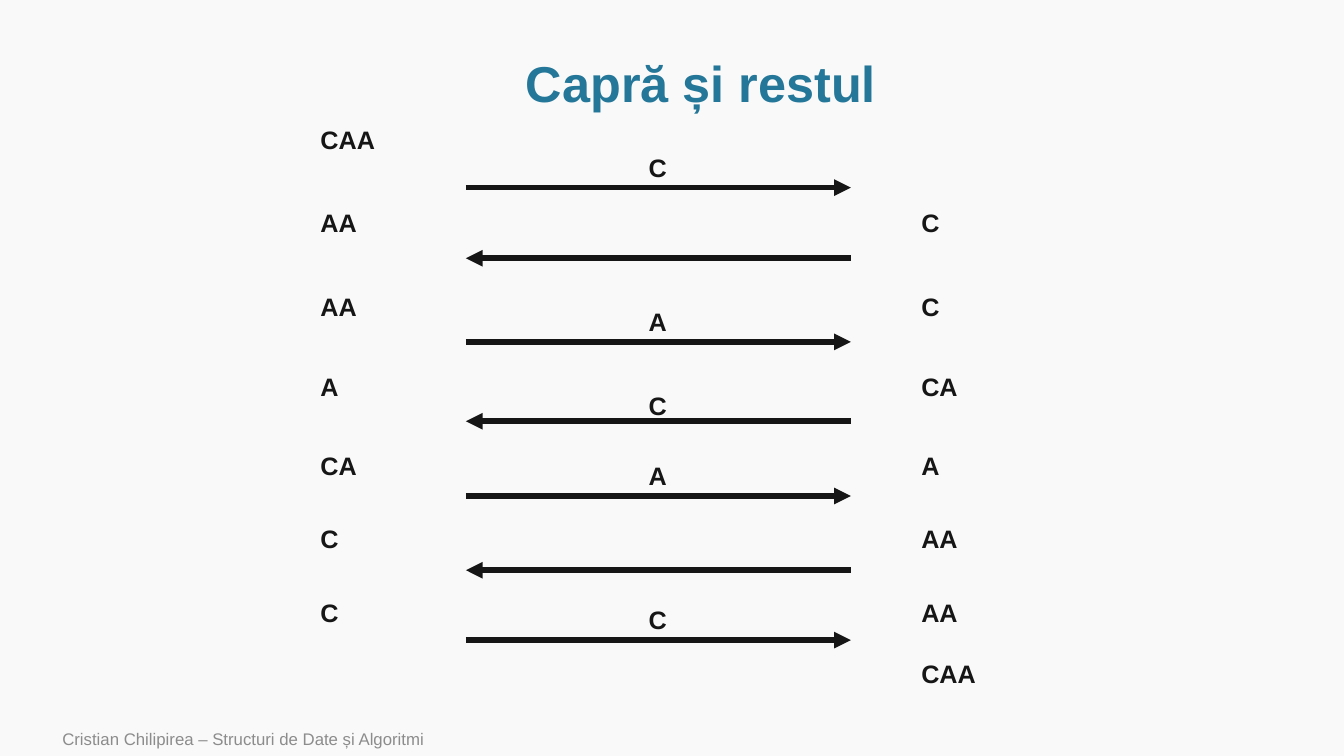
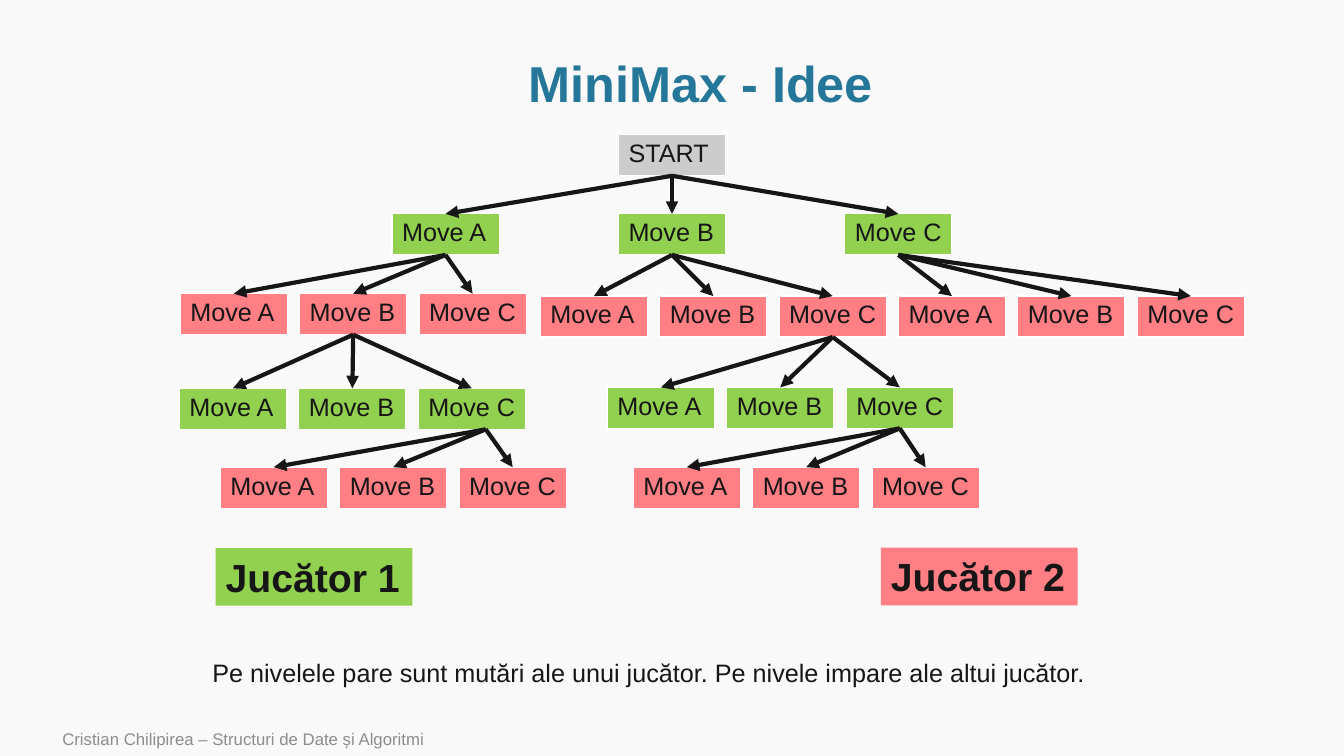
"""Build two slides: a river-crossing puzzle and a MiniMax game tree."""
from lxml.etree import SubElement as Sub
from pptx import Presentation
from pptx.dml.color import RGBColor as RGB
from pptx.enum.shapes import MSO_CONNECTOR as Conn, MSO_SHAPE as Shape
from pptx.enum.text import MSO_ANCHOR as Anchor, MSO_AUTO_SIZE as Fit, PP_ALIGN as Align
from pptx.oxml.ns import qn
from pptx.util import Pt

INK = RGB(0x17, 0x16, 0x16)
BLUE = RGB(0x24, 0x77, 0x98)
MUTED = RGB(0x8C, 0x8C, 0x8C)
PAPER = RGB(0xF9, 0xF9, 0xF9)
WHITE = RGB(0xFF, 0xFF, 0xFF)
GREY = RGB(0xCC, 0xCC, 0xCC)
GREEN = RGB(0x92, 0xD0, 0x50)
RED = RGB(0xFF, 0x7F, 0x85)

FONT = "Arial"
FOOTER = "Cristian Chilipirea – Structuri de Date și Algoritmi"
NODE_W, NODE_H = 76.5, 29.3
PITCH = 85.3


class Deck:
    """Hold the shared style and the current slide."""

    def __init__(self):
        """Open an empty wide deck with a pale background."""
        self.prs = Presentation()
        self.prs.slide_width, self.prs.slide_height = Pt(960), Pt(540)
        fill = self.prs.slide_master.background.fill
        fill.solid()
        fill.fore_color.rgb = PAPER
        self.slide = None

    def put(self, frame, text, size=18, color=INK, bold=False):
        """Add one styled run to the first paragraph of a frame."""
        para = frame.paragraphs[0]
        run = para.add_run()
        run.text = text
        font = run.font
        font.name, font.size, font.bold = FONT, Pt(size), bold
        font.color.rgb = color
        return para

    def page(self, title):
        """Start a slide with its title and footer."""
        self.slide = self.prs.slides.add_slide(self.prs.slide_layouts[5])
        head = self.slide.shapes.title
        head.left, head.top, head.width, head.height = Pt(82), Pt(36.7), Pt(837.5), Pt(49.7)
        frame = head.text_frame
        frame.vertical_anchor = Anchor.MIDDLE
        para = self.put(frame, title, 36, BLUE, True)
        para.alignment, para.line_spacing = Align.CENTER, 0.9
        foot = self.slide.shapes.add_textbox(Pt(37.4), Pt(515.5), Pt(605), Pt(24.5))
        foot.text_frame.word_wrap = True
        foot.text_frame.vertical_anchor = Anchor.MIDDLE
        self.put(foot.text_frame, FOOTER, 12, MUTED)

    def fit(self, shape, text, size, bold):
        """Put unwrapped text into a shape that grows with it."""
        frame = shape.text_frame
        frame.word_wrap, frame.auto_size = False, Fit.SHAPE_TO_FIT_TEXT
        frame.vertical_anchor = Anchor.TOP
        self.put(frame, text, size, INK, bold).alignment = Align.LEFT

    def label(self, text, x, y, width, bold=False):
        """Add a one-line text box."""
        box = self.slide.shapes.add_textbox(Pt(x), Pt(y), Pt(width), Pt(29))
        self.fit(box, text, 18, bold)

    def badge(self, text, x, y, color):
        """Add a filled rectangle that names a player."""
        box = self.slide.shapes.add_shape(Shape.RECTANGLE, Pt(x), Pt(y), Pt(140.5), Pt(41.2))
        box.shadow.inherit = False
        box.fill.solid()
        box.fill.fore_color.rgb = color
        box.line.fill.background()
        self.fit(box, text, 28, True)

    def arrow(self, x1, y1, x2, y2, width):
        """Add a straight line with a triangle at its end."""
        link = self.slide.shapes.add_connector(Conn.STRAIGHT, Pt(x1), Pt(y1), Pt(x2), Pt(y2))
        link.line.color.rgb, link.line.width = INK, Pt(width)
        props = link.element.spPr
        Sub(props.get_or_add_ln(), qn("a:tailEnd"), type="triangle")
        Sub(props, qn("a:effectLst"))

    def node(self, text, mid, top, color):
        """Add a one-cell table and return its centre and top."""
        table = self.slide.shapes.add_table(
            1, 1, Pt(mid - NODE_W / 2), Pt(top), Pt(NODE_W), Pt(NODE_H)).table
        table.first_row = table.horz_banding = False
        cell = table.cell(0, 0)
        props = cell._tc.get_or_add_tcPr()
        for side in ("a:lnL", "a:lnR", "a:lnT", "a:lnB"):
            edge = Sub(props, qn(side), w=str(Pt(1)))
            Sub(Sub(edge, qn("a:solidFill")), qn("a:srgbClr"), val=str(WHITE))
        cell.fill.solid()
        cell.fill.fore_color.rgb = color
        self.put(cell.text_frame, text)
        return mid, top

    def brood(self, parent, first, top, color, pitch=PITCH, shift=0):
        """Add three moves below a parent and return their places."""
        kids = [self.node(f"Move {name}", first + i * pitch, top, color)
                for i, name in enumerate("ABC")]
        for mid, _ in kids:
            self.arrow(parent[0] + shift, parent[1] + NODE_H, mid, top, 3)
        return kids


def cross(deck):
    """Draw the river crossings."""
    deck.page("Capră și restul")
    banks = (("CAA", "", 85), ("AA", "C", 144.7), ("AA", "C", 204.5), ("A", "CA", 261.4),
             ("CA", "A", 318.2), ("C", "AA", 370.1), ("C", "AA", 423.4), ("", "CAA", 466.6))
    for left, right, y in banks:
        for text, x in ((left, 221.8), (right, 651)):
            if text:
                deck.label(text, x, y, 14.4 + 13 * len(text), True)
    trips = (("C", 105.2, 134), ("", 0, 184.5), ("A", 215.3, 244.2), ("C", 275.2, 300.9),
             ("A", 325.4, 354.3), ("", 0, 407.3), ("C", 428.4, 457.2))
    for i, (load, top, y) in enumerate(trips):
        start, end = (332.8, 607.8) if i % 2 == 0 else (607.8, 332.8)
        deck.arrow(start, y, end, y, 4)
        if load:
            deck.label(load, 456.2, top, 27.4, True)


def tree(deck):
    """Draw the game tree and its legend."""
    deck.page("MiniMax - Idee")
    root = deck.node("START", 480, 96.3, GREY)
    one, two, three = deck.brood(root, 318.3, 152.8, GREEN, 161.7)
    low = deck.brood(one, 167, 209.8, RED)
    mid = deck.brood(two, 424.2, 211.5, RED)
    deck.brood(three, 680, 211.5, RED)
    left = deck.brood(low[1], 166.4, 277.4, GREEN)
    right = deck.brood(mid[2], 472.1, 276.7, GREEN)
    deck.brood(left[2], 195.6, 333.7, RED, shift=10)
    deck.brood(right[2], 490.6, 333.7, RED)
    deck.badge("Jucător 1", 154.1, 391.5, GREEN)
    deck.badge("Jucător 2", 629.3, 391.2, RED)
    deck.label("Pe nivelele pare sunt mutări ale unui jucător. "
               "Pe nivele impare ale altui jucător.", 144.6, 465.9, 643.7)


def main():
    """Build and save the deck."""
    deck = Deck()
    cross(deck)
    tree(deck)
    deck.prs.save("out.pptx")


if __name__ == "__main__":
    main()
